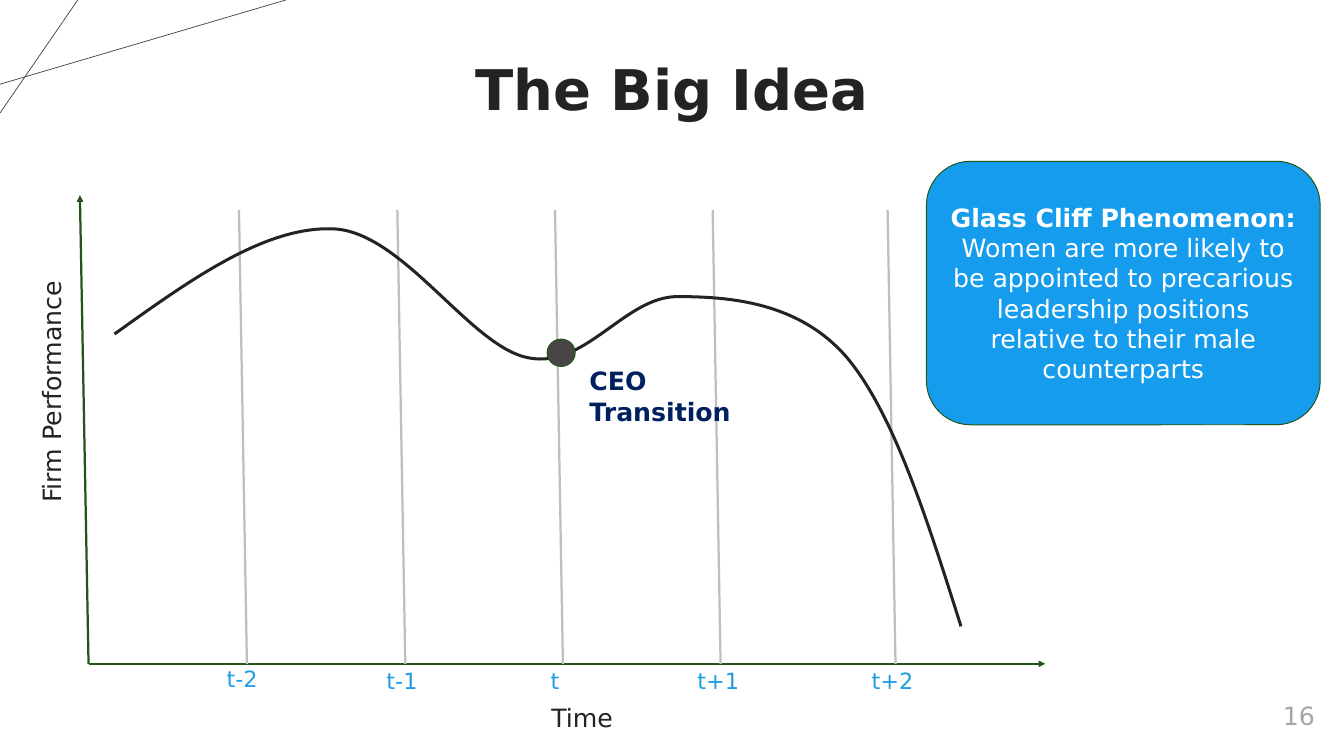
from lxml import etree
from pptx import Presentation
from pptx.dml.color import RGBColor
from pptx.enum.shapes import MSO_CONNECTOR, MSO_SHAPE
from pptx.enum.text import MSO_ANCHOR, PP_ALIGN
from pptx.oxml.ns import qn
from pptx.util import Inches, Pt

STRAIGHT = MSO_CONNECTOR.STRAIGHT
OVAL, ROUND = MSO_SHAPE.OVAL, MSO_SHAPE.ROUNDED_RECTANGLE
TOP, MIDDLE = MSO_ANCHOR.TOP, MSO_ANCHOR.MIDDLE
LEFT, CENTER = PP_ALIGN.LEFT, PP_ALIGN.CENTER

FONT = "DejaVu Sans"
INK, GRAY, GREEN, GRID = "242223", "494546", "225619", "BFBFBF"
BLUE, SKY, NAVY, WHITE, PALE = "169CEC", "1F9DE3", "002060", "FFFFFF", "A5A5A5"
BODY, TICK = 25.2, 22.4

DECOR = [(0, 1.17, 3.97, 0), (1.08, 0, 0, 1.57)]
AXES = [(1.23, 9.22, 14.52, 9.22), (1.23, 9.22, 1.11, 2.71)]
GRID_X = [3.32, 5.52, 7.71, 9.9, 12.33]
GRID_TOP, GRID_END, LEAN = 2.92, 9.22, 0.11
TICKS = [
    ("t-2", 3.05, 9.19, 0.87),
    ("t-1", 5.27, 9.22, 0.87),
    ("t", 7.55, 9.22, 0.87),
    ("t+1", 9.59, 9.22, 1.09),
    ("t+2", 12.01, 9.22, 1.09),
]
CURVE = [
    (1.59, 4.64),
    (2.64, 3.89), (3.69, 3.13), (4.65, 3.18),
    (5.61, 3.24), (6.54, 4.82), (7.34, 4.97),
    (8.13, 5.13), (8.68, 4.12), (9.41, 4.12),
    (10.15, 4.12), (11.1, 4.2), (11.76, 4.96),
    (12.41, 5.73), (12.88, 7.21), (13.35, 8.7),
]
NOTE = [
    ("Glass Cliff Phenomenon: ", True),
    ("Women are more likely to be appointed to precarious leadership "
     "positions relative to their male counterparts", False),
]

deck = Presentation()
deck.slide_width, deck.slide_height = Inches(18.67), Inches(10.5)
slide = deck.slides.add_slide(deck.slide_layouts[6])
shapes = slide.shapes


def color(code):
    return RGBColor.from_string(code)


def stroke(item, code, width):
    item.line.color.rgb = color(code)
    item.line.width = Pt(width)


def line(ends, code, width, arrow=False):
    item = shapes.add_connector(STRAIGHT, *[Inches(v) for v in ends])
    stroke(item, code, width)
    props = item._element.spPr
    if arrow:
        etree.SubElement(props.find(qn("a:ln")), qn("a:tailEnd"), type="triangle")
    etree.SubElement(props, qn("a:effectLst"))


def write(item, runs, size, code, align=LEFT, anchor=TOP, pad=(0.1, 0.05)):
    frame = item.text_frame
    frame.word_wrap = True
    frame.vertical_anchor = anchor
    frame.margin_left = frame.margin_right = Inches(pad[0])
    frame.margin_top = frame.margin_bottom = Inches(pad[1])
    para = frame.paragraphs[0]
    para.alignment = align
    for words, bold in runs:
        run = para.add_run()
        run.text = words
        font = run.font
        font.name, font.size, font.bold = FONT, Pt(size), bold
        font.color.rgb = color(code)
    return para


def label(words, box, size, code, bold=False, **style):
    item = shapes.add_textbox(*[Inches(v) for v in box])
    return item, write(item, [(words, bold)], size, code, **style)


def solid(kind, box, fill):
    item = shapes.add_shape(kind, *[Inches(v) for v in box])
    item.shadow.inherit = False
    item.fill.solid()
    item.fill.fore_color.rgb = color(fill)
    stroke(item, GREEN, 1)
    return item


def bend(points):
    dots = [(Inches(x), Inches(y)) for x, y in points]
    form = shapes.build_freeform(*dots[0])
    form.add_line_segments(dots[1:], close=False)
    item = form.convert_to_shape()
    item.shadow.inherit = False
    item.fill.background()
    stroke(item, INK, 3)
    track = item._element.spPr.find(".//" + qn("a:path"))
    steps = track.findall(qn("a:lnTo"))
    for i in range(0, len(steps), 3):
        cubic = etree.SubElement(track, qn("a:cubicBezTo"))
        for step in steps[i:i + 3]:
            cubic.append(step[0])
            track.remove(step)


for ends in DECOR:
    line(ends, GRAY, 0.75)
title, para = label("The Big Idea", (0.7, 0.82, 17.27, 1.77), 56, INK, True,
                    align=CENTER, pad=(0, 0.05))
para.line_spacing = 0.9

for ends in AXES:
    line(ends, GREEN, 2.25, arrow=True)
for x in GRID_X:
    line((x, GRID_TOP, x + LEAN, GRID_END), GRID, 2.25)

side, para = label("Firm Performance", (-1.25, 4.85, 3.93, 0.53), BODY, INK)
side.rotation = 270
label("Time", (7.56, 9.7, 3.05, 0.53), BODY, INK)
for words, x, y, width in TICKS:
    label(words, (x, y, width, 0.48), TICK, SKY)

bend(CURVE)
solid(OVAL, (7.6, 4.71, 0.39, 0.38), GRAY)
label("CEO Transition", (8.09, 5.03, 2.44, 0.95), BODY, NAVY, True)
label("16", (17.82, 9.36, 0.85, 1.14), BODY, PALE, anchor=MIDDLE, pad=(0, 0))

card = solid(ROUND, (12.87, 2.24, 5.47, 3.66), BLUE)
card.adjustments[0] = 0.167
write(card, NOTE, BODY, WHITE, CENTER, MIDDLE)

deck.save("out.pptx")
